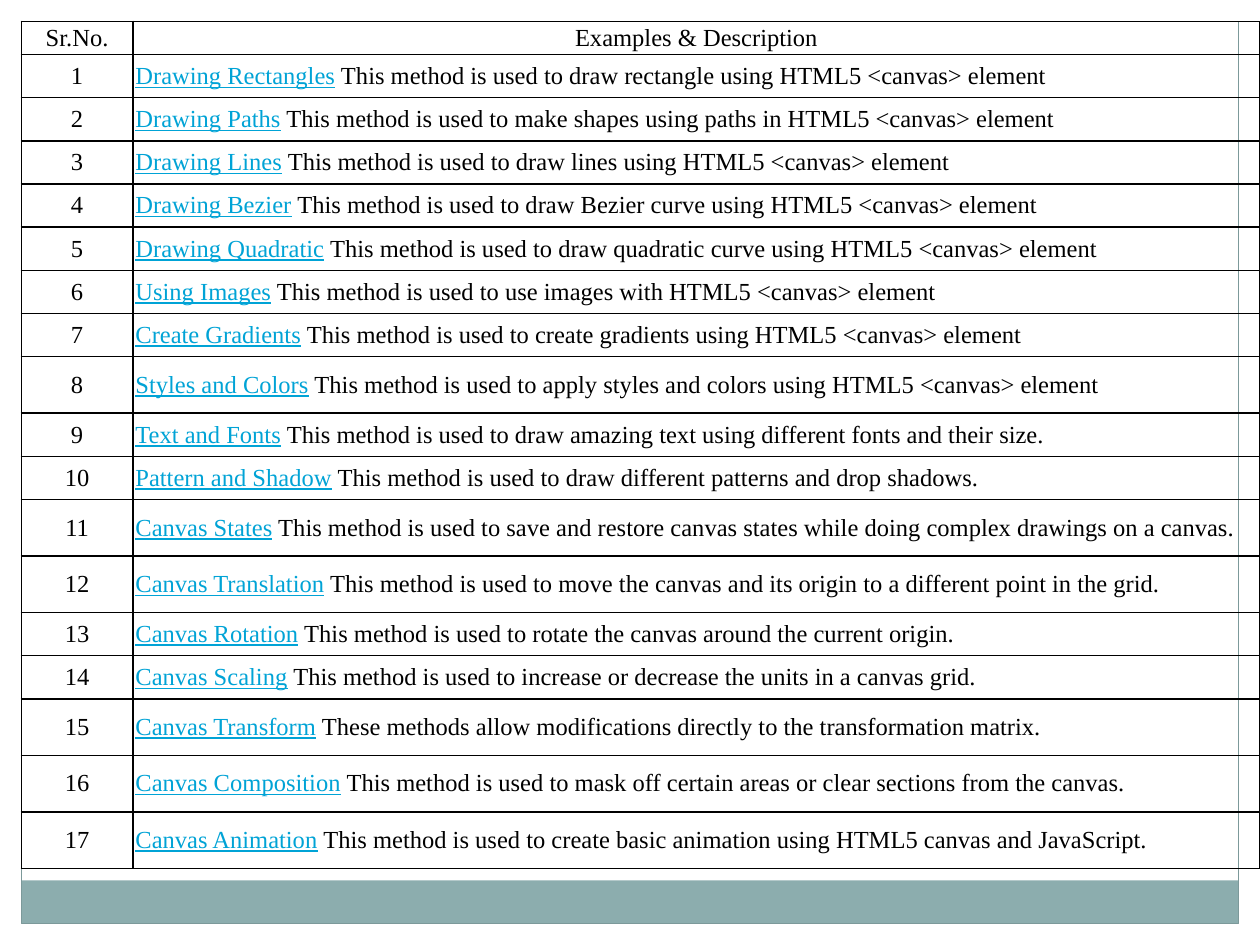
from lxml import etree
from pptx import Presentation
from pptx.dml.color import RGBColor
from pptx.enum.shapes import MSO_SHAPE as Shape
from pptx.enum.text import MSO_ANCHOR as Anchor, PP_ALIGN as Align
from pptx.oxml.ns import qn
from pptx.util import Cm, Pt

BLACK, LINK = "000000", "00A3D6"
SLIDE_WIDTH, SLIDE_HEIGHT, MARGIN = 25.4, 19.05, 0.43
HEADER_ROW, NORMAL_ROW, TALL_ROW = 0.67, 0.87, 1.14
TALL_NUMBERS = {8, 11, 12, 15, 16, 17}

examples = [
    ("Drawing Rectangles", "This method is used to draw rectangle using HTML5 <canvas> element"),
    ("Drawing Paths", "This method is used to make shapes using paths in HTML5 <canvas> element"),
    ("Drawing Lines", "This method is used to draw lines using HTML5 <canvas> element"),
    ("Drawing Bezier", "This method is used to draw Bezier curve using HTML5 <canvas> element"),
    ("Drawing Quadratic", "This method is used to draw quadratic curve using HTML5 <canvas> element"),
    ("Using Images", "This method is used to use images with HTML5 <canvas> element"),
    ("Create Gradients", "This method is used to create gradients using HTML5 <canvas> element"),
    ("Styles and Colors", "This method is used to apply styles and colors using HTML5 <canvas> element"),
    ("Text and Fonts", "This method is used to draw amazing text using different fonts and their size."),
    ("Pattern and Shadow", "This method is used to draw different patterns and drop shadows."),
    ("Canvas States", "This method is used to save and restore canvas states while doing complex drawings on a canvas."),
    ("Canvas Translation", "This method is used to move the canvas and its origin to a different point in the grid."),
    ("Canvas Rotation", "This method is used to rotate the canvas around the current origin."),
    ("Canvas Scaling", "This method is used to increase or decrease the units in a canvas grid."),
    ("Canvas Transform", "These methods allow modifications directly to the transformation matrix."),
    ("Canvas Composition", "This method is used to mask off certain areas or clear sections from the canvas."),
    ("Canvas Animation", "This method is used to create basic animation using HTML5 canvas and JavaScript."),
]


def color(value):
    return RGBColor.from_string(value)


def fill_cell(cell, texts, align):
    """Write runs into a cell; the first of two runs looks like a link."""
    cell.margin_left = cell.margin_right = Cm(0.05)
    cell.margin_top = cell.margin_bottom = Cm(0.03)
    cell.vertical_anchor = Anchor.MIDDLE
    paragraph = cell.text_frame.paragraphs[0]
    paragraph.alignment = align
    for index, text in enumerate(texts):
        is_link = len(texts) == 2 and index == 0
        run = paragraph.add_run()
        run.text = text
        run.font.name = "Times New Roman"
        run.font.size = Pt(14)
        run.font.underline = is_link
        run.font.color.rgb = color(LINK if is_link else BLACK)
    properties = cell._tc.get_or_add_tcPr()
    for side in ("a:lnL", "a:lnR", "a:lnT", "a:lnB"):
        border = etree.SubElement(properties, qn(side), w=str(Pt(1)))
        solid = etree.SubElement(border, qn("a:solidFill"))
        etree.SubElement(solid, qn("a:srgbClr"), val=BLACK)
    cell.fill.background()


presentation = Presentation()
presentation.slide_width = Cm(SLIDE_WIDTH)
presentation.slide_height = Cm(SLIDE_HEIGHT)
slide = presentation.slides.add_slide(presentation.slide_layouts[6])

# Margins, footer band and frame: left, top, width, height, fill, line
frame_width = SLIDE_WIDTH - 2 * MARGIN
panels = [
    (0, 0, SLIDE_WIDTH, MARGIN, "FFFFFF", None),
    (SLIDE_WIDTH - MARGIN, 0, MARGIN, SLIDE_HEIGHT, "FFFFFF", None),
    (0, 0, MARGIN, SLIDE_HEIGHT, "FFFFFF", None),
    (MARGIN, 17.75, frame_width, 0.87, "8CADAE", None),
    (MARGIN, MARGIN, frame_width, SLIDE_HEIGHT - 2 * MARGIN, None, "7C999A"),
]
for left, top, width, height, fill, line in panels:
    shape = slide.shapes.add_shape(Shape.RECTANGLE, Cm(left), Cm(top), Cm(width), Cm(height))
    shape.shadow.inherit = False
    if fill:
        shape.fill.solid()
        shape.fill.fore_color.rgb = color(fill)
    else:
        shape.fill.background()
    if line:
        shape.line.color.rgb = color(line)
        shape.line.width = Pt(0.75)
    else:
        shape.line.fill.background()

# Table of examples
row_heights = [HEADER_ROW] + [
    TALL_ROW if number in TALL_NUMBERS else NORMAL_ROW
    for number in range(1, len(examples) + 1)
]
column_widths = [2.25, 22.72]
table = slide.shapes.add_table(
    len(row_heights), len(column_widths), Cm(MARGIN), Cm(MARGIN),
    Cm(sum(column_widths)), Cm(sum(row_heights)),
).table
table.first_row = table.horz_banding = False
for column, width in zip(table.columns, column_widths):
    column.width = Cm(width)
for row, height in zip(table.rows, row_heights):
    row.height = Cm(height)

# Header and numbered rows
fill_cell(table.cell(0, 0), ["Sr.No."], Align.CENTER)
fill_cell(table.cell(0, 1), ["Examples & Description"], Align.CENTER)
for number, (name, description) in enumerate(examples, start=1):
    fill_cell(table.cell(number, 0), [str(number)], Align.CENTER)
    fill_cell(table.cell(number, 1), [name, " " + description], Align.LEFT)

presentation.save("out.pptx")
